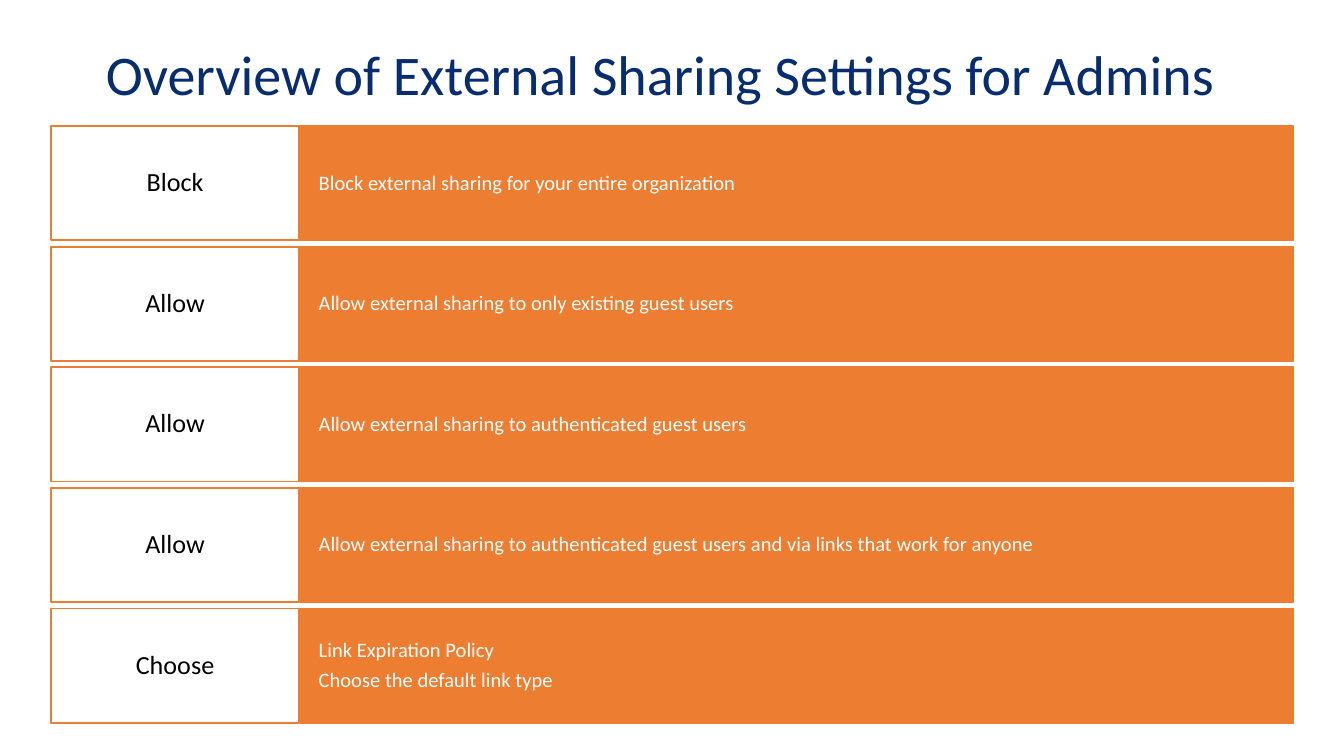
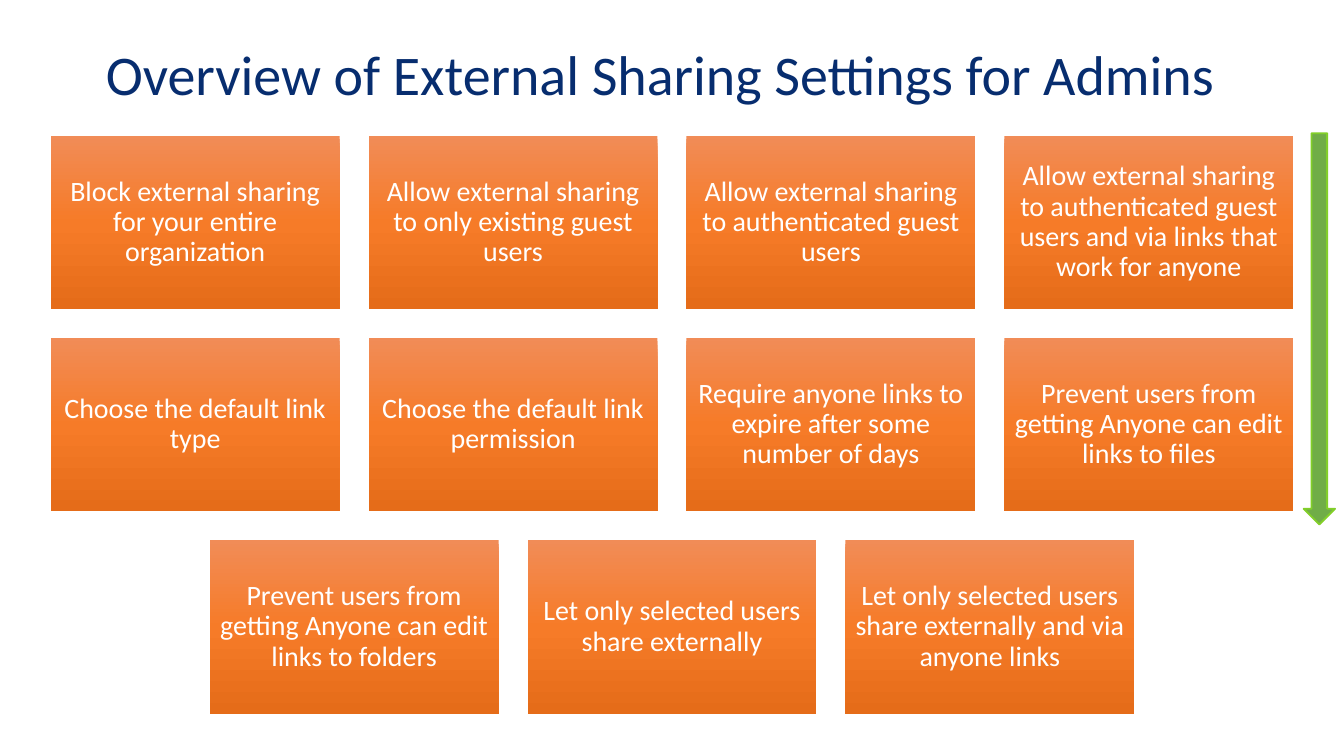
from copy import deepcopy

from pptx import Presentation
from pptx.dml.color import RGBColor as RGB
from pptx.enum.shapes import MSO_SHAPE as SHAPE
from pptx.enum.text import MSO_ANCHOR as ANCHOR, MSO_AUTO_SIZE as AUTO, PP_ALIGN as ALIGN
from pptx.oxml.ns import qn
from pptx.util import Pt

COLORS = {
    "navy": "072D6F",
    "orange": "ED7D31",
    "white": "FFFFFF",
    "black": "000000",
    "green": "70AD47",
    "lime": "82CF29",
    "card_top": "F18C57",
    "card_mid": "F67B28",
    "card_end": "E56C19",
}
FONT = "Calibri"
TITLE = "Overview of External Sharing Settings for Admins"
WIDTH, HEIGHT = 720, 405
LEFT = 27.2

POLICIES = [
    ("Block", ["Block external sharing for your entire organization"]),
    ("Allow", ["Allow external sharing to only existing guest users"]),
    ("Allow", ["Allow external sharing to authenticated guest users"]),
    ("Allow", ["Allow external sharing to authenticated guest users "
               "and via links that work for anyone"]),
    ("Choose", ["Link Expiration Policy", "Choose the default link type"]),
]
SETTINGS = [text for _, lines in POLICIES[:4] for text in lines] + [
    "Choose the default link type",
    "Choose the default link permission",
    "Require anyone links to expire after some number of days",
    "Prevent users from getting Anyone can edit links to files",
    "Prevent users from getting Anyone can edit links to folders",
    "Let only selected users share externally",
    "Let only selected users share externally and via anyone links",
]

LABEL = {"size": 14, "color": "black", "align": ALIGN.CENTER, "inset": (7.2, 5.8)}
DETAIL = {"size": 11, "color": "white", "align": ALIGN.LEFT, "inset": (10.3, 15.3)}
CARD = {"size": 15, "color": "white", "align": ALIGN.CENTER, "inset": (4.5, 4.5)}
HEADING = {"size": 30, "color": "navy", "align": ALIGN.LEFT, "inset": (7.2, 3.6),
           "anchor": ANCHOR.TOP, "after": 0}


def rgb(name):
    return RGB.from_string(COLORS[name])


def set_attrs(obj, values):
    for name, value in values.items():
        setattr(obj, name, value)


def write(sp, lines, style):
    tf = sp.text_frame
    dx, dy = map(Pt, style["inset"])
    set_attrs(tf, {
        "word_wrap": True, "auto_size": AUTO.NONE,
        "vertical_anchor": style.get("anchor", ANCHOR.MIDDLE),
        "margin_left": dx, "margin_right": dx, "margin_top": dy, "margin_bottom": dy,
    })
    for i, line in enumerate(lines):
        p = tf.add_paragraph() if i else tf.paragraphs[0]
        set_attrs(p, {
            "alignment": style["align"], "line_spacing": 0.9, "space_before": Pt(0),
            "space_after": Pt(style.get("after", style["size"] * 0.35)),
        })
        r = p.add_run()
        r.text = line
        set_attrs(r.font, {"name": FONT, "size": Pt(style["size"])})
        r.font.color.rgb = rgb(style["color"])


def add_box(s, box, fill=None, line=None, kind=SHAPE.RECTANGLE):
    sp = s.shapes.add_shape(kind, *map(Pt, box))
    sp.shadow.inherit = False
    if fill:
        sp.fill.solid()
        sp.fill.fore_color.rgb = rgb(fill)
    if line:
        sp.line.color.rgb = rgb(line)
        sp.line.width = Pt(1)
    else:
        sp.line.fill.background()
    return sp


def add_title_slide(prs):
    s = prs.slides.add_slide(prs.slide_layouts[5])
    title = s.shapes.title
    set_attrs(title, {"left": Pt(49.5), "top": Pt(21.6),
                      "width": Pt(621), "height": Pt(78.3)})
    write(title, [TITLE], HEADING)
    return s


def add_policy_row(s, top, label, details):
    label_w, detail_w, row_h = 133.2, 532.6, 61.2
    sp = add_box(s, (LEFT + label_w, top, detail_w, row_h), "orange", "orange")
    write(sp, details, DETAIL)
    sp = add_box(s, (LEFT, top, label_w, row_h), "white", "orange")
    write(sp, [label], LABEL)


def add_card(s, box, text):
    sp = add_box(s, box)
    sp.fill.gradient()
    sp.fill.gradient_angle = 270
    stops = sp._element.spPr.find(".//" + qn("a:gsLst"))
    stops.append(deepcopy(stops[0]))
    names = ("card_top", "card_mid", "card_end")
    for i, (stop, name) in enumerate(zip(sp.fill.gradient_stops, names)):
        stop.position = i / 2
        stop.color.rgb = rgb(name)
    write(sp, [text], CARD)


def add_card_grid(s, texts, cols=4):
    card_w, card_h, gap, top = 154.8, 92.9, 15.5, 72.6
    for start in range(0, len(texts), cols):
        row = texts[start:start + cols]
        left = (WIDTH - len(row) * (card_w + gap) + gap) / 2
        y = top + start // cols * (card_h + gap)
        for i, text in enumerate(row):
            add_card(s, (left + i * (card_w + gap), y, card_w, card_h), text)


def main():
    prs = Presentation()
    prs.slide_width, prs.slide_height = Pt(WIDTH), Pt(HEIGHT)

    s = add_title_slide(prs)
    for i, (label, details) in enumerate(POLICIES):
        add_policy_row(s, 67.6 + i * 64.6, label, details)

    s = add_title_slide(prs)
    add_card_grid(s, SETTINGS)
    add_box(s, (698.4, 71.4, 16.8, 209.6), "green", "lime", SHAPE.DOWN_ARROW)

    prs.save("out.pptx")


if __name__ == "__main__":
    main()
